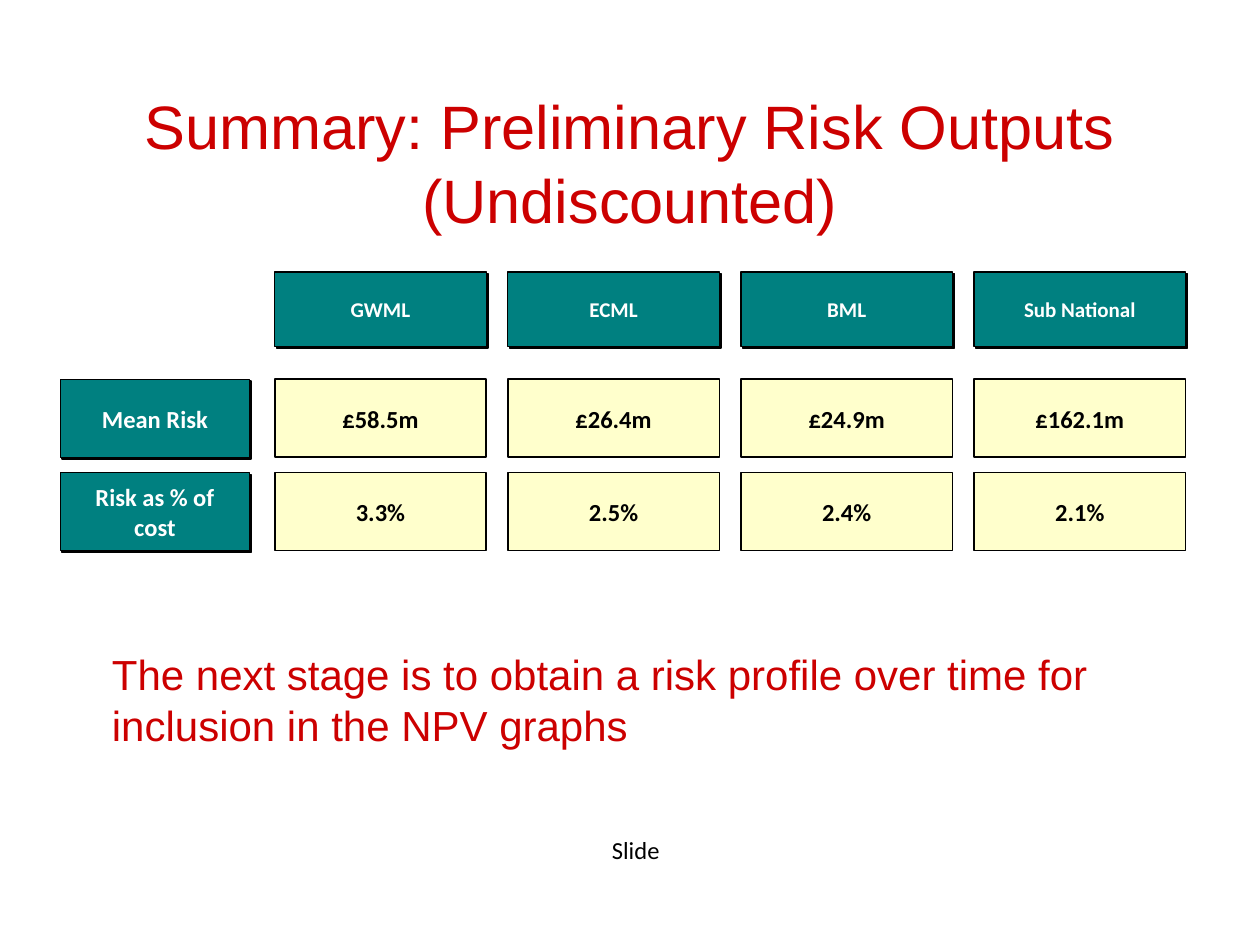
from lxml.etree import SubElement
from pptx import Presentation
from pptx.dml.color import RGBColor
from pptx.enum.shapes import MSO_SHAPE
from pptx.enum.text import MSO_ANCHOR, PP_ALIGN
from pptx.oxml.ns import qn
from pptx.util import Inches, Pt

TITLE = "Summary: Preliminary Risk Outputs (Undiscounted)"
NEXT_STAGE = "The next stage is to obtain a risk profile over time for inclusion in the NPV graphs"
FOOTER = "Slide"
ROUTES = ["GWML", "ECML", "BML", "Sub National"]
MEASURES = [
    ("Mean Risk", ["£58.5m", "£26.4m", "£24.9m", "£162.1m"]),
    ("Risk as % of cost", ["3.3%", "2.5%", "2.4%", "2.1%"]),
]

RED, TEAL, CREAM, BLACK, WHITE = "CC0000", "008080", "FFFFCC", "000000", "FFFFFF"
LABEL_LEFT, LABEL_WIDTH = 0.48, 1.5
GRID_LEFT, COLUMN_PITCH, COLUMN_WIDTH = 2.18, 1.85, 1.68
HEADER_TOP, HEADER_HEIGHT = 2.16, 0.59
GRID_TOP, ROW_PITCH, ROW_HEIGHT = 3.01, 0.74, 0.62


def color(value):
    """Turn a hex string into a colour."""
    return RGBColor.from_string(value)


def write(shape, text, size, ink, font, align, anchor, bold=False):
    """Put one styled paragraph into a shape and return it."""
    frame = shape.text_frame
    frame.word_wrap = True
    frame.vertical_anchor = anchor
    para = frame.paragraphs[0]
    para.text = text
    para.alignment = align
    para.font.name = font
    para.font.size = Pt(size)
    para.font.bold = bold
    para.font.color.rgb = color(ink)
    return para


def add_text(page, area, text, size, ink, font, align, anchor=MSO_ANCHOR.TOP):
    """Add a wrapping text box."""
    box = page.shapes.add_textbox(*map(Inches, area))
    write(box, text, size, ink, font, align, anchor)


def add_box(page, area, text, size, fill, ink, line_width):
    """Add an outlined rectangle with centred bold text."""
    box = page.shapes.add_shape(MSO_SHAPE.RECTANGLE, *map(Inches, area))
    box.shadow.inherit = False
    box.fill.solid()
    box.fill.fore_color.rgb = color(fill)
    box.line.color.rgb = color(BLACK)
    box.line.width = Pt(line_width)
    para = write(box, text, size, ink, "Calibri", PP_ALIGN.CENTER, MSO_ANCHOR.MIDDLE, True)
    return box, para


def add_heading(page, area, text, size):
    """Add a teal heading box with a hard shadow."""
    box, para = add_box(page, area, text, size, TEAL, WHITE, 0.75)
    para.space_after = Pt(2)
    effects = box._element.spPr.find(qn("a:effectLst"))
    shadow = SubElement(effects, qn("a:outerShdw"), dist=str(Pt(1.4)), dir=str(45 * 60000),
                        algn="ctr", rotWithShape="0")
    SubElement(shadow, qn("a:srgbClr"), val=BLACK)


def add_value(page, area, text):
    """Add a cream value box."""
    _, para = add_box(page, area, text, 14, CREAM, BLACK, 1)
    para.space_before = Pt(3.5)


def main():
    """Build the slide and save it."""
    deck = Presentation()
    deck.slide_width, deck.slide_height = Inches(10), Inches(7.5)
    page = deck.slides.add_slide(deck.slide_layouts[6])

    add_text(page, (0.75, 0.66, 8.5, 1.25), TITLE, 35, RED, "Arial",
             PP_ALIGN.CENTER, MSO_ANCHOR.MIDDLE)
    lefts = [GRID_LEFT + column * COLUMN_PITCH for column in range(len(ROUTES))]
    for left, route in zip(lefts, ROUTES):
        add_heading(page, (left, HEADER_TOP, COLUMN_WIDTH, HEADER_HEIGHT), route, 12)
    for row, (measure, values) in enumerate(MEASURES):
        top = GRID_TOP + row * ROW_PITCH
        add_heading(page, (LABEL_LEFT, top, LABEL_WIDTH, ROW_HEIGHT), measure, 14)
        for left, value in zip(lefts, values):
            add_value(page, (left, top, COLUMN_WIDTH, ROW_HEIGHT), value)
    add_text(page, (0.79, 5.1, 8.5, 0.9), NEXT_STAGE, 24, RED, "Arial", PP_ALIGN.LEFT)
    add_text(page, (3.42, 6.58, 3.25, 0.5), FOOTER, 14, BLACK, "Calibri", PP_ALIGN.CENTER)

    deck.save("out.pptx")


if __name__ == "__main__":
    main()
